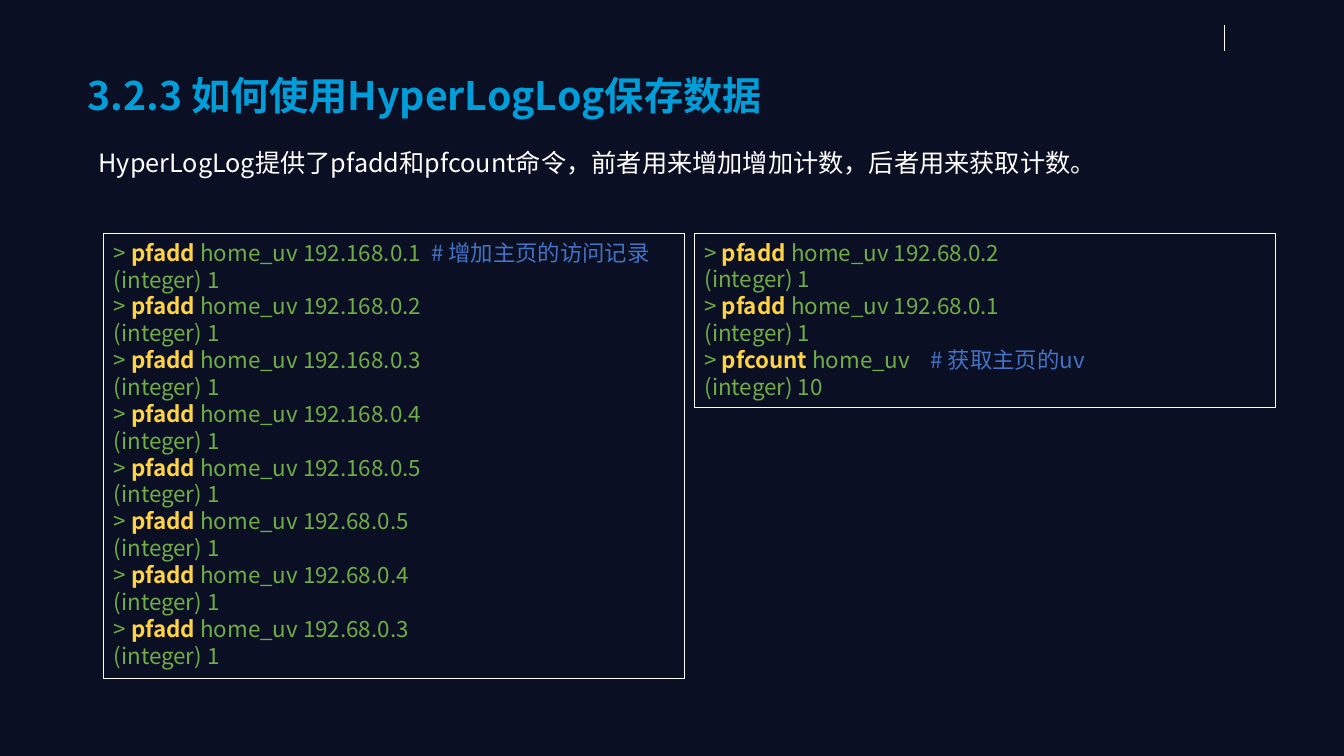
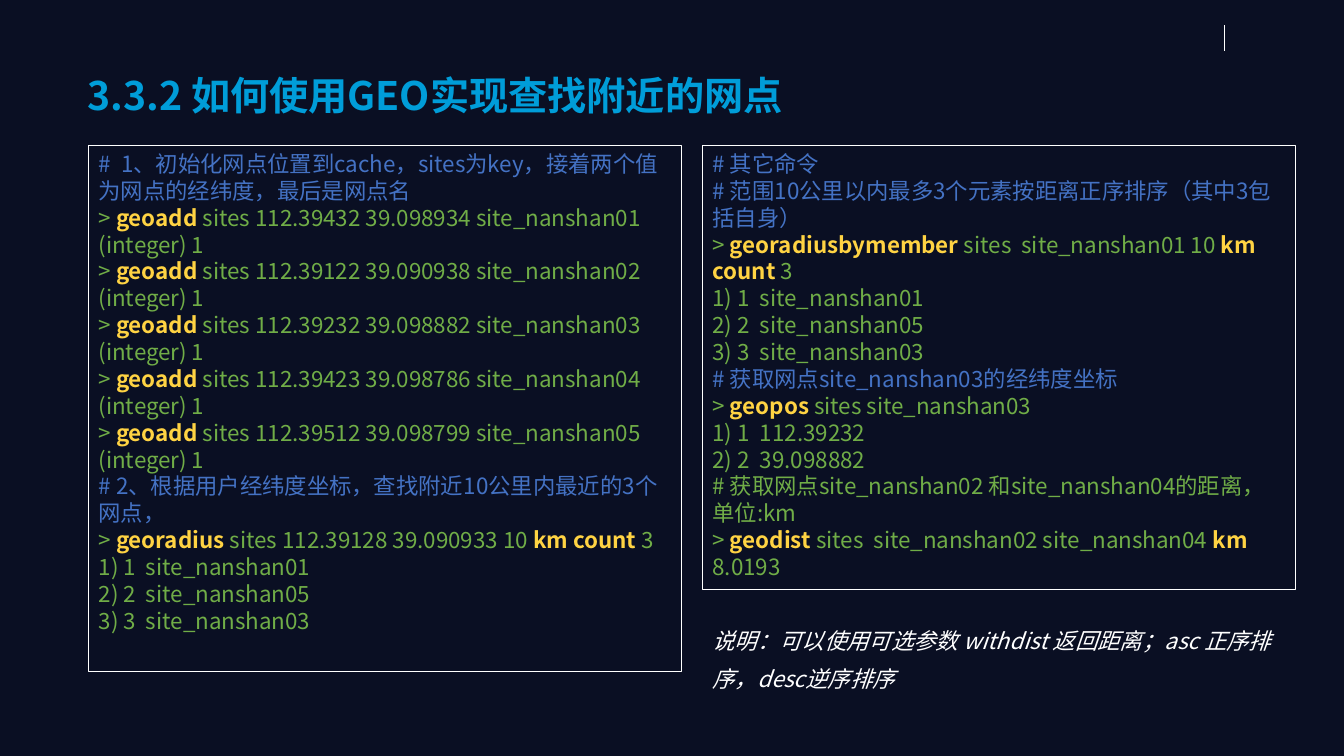
"""Build two dark slides of database command examples."""
from dataclasses import dataclass

from lxml.etree import SubElement
from pptx import Presentation
from pptx.dml.color import RGBColor
from pptx.enum.shapes import MSO_CONNECTOR, MSO_SHAPE
from pptx.enum.text import MSO_ANCHOR, PP_ALIGN
from pptx.oxml.ns import qn
from pptx.util import Inches, Pt

LINE, RECT = MSO_CONNECTOR.STRAIGHT, MSO_SHAPE.RECTANGLE
TOP, LEFT = MSO_ANCHOR.TOP, PP_ALIGN.LEFT
WIDE, HIGH = Inches(13.33), Inches(7.5)


@dataclass(frozen=True)
class Theme:
    """Colours, font and type sizes."""
    back: str = "0A0F23"
    white: str = "FFFFFF"
    code: str = "70AD47"
    key: str = "FFD343"
    note: str = "4472C4"
    face: str = "Noto Sans CJK SC"
    head: int = 28
    lead: int = 18
    body: int = 16
    fade: tuple[str, ...] = ("0F6FC6", "009DD9", "0BD0D9", "10CF9B", "7CCA62")


@dataclass(frozen=True)
class Area:
    """A rectangle in percent of the slide's width and height."""
    x: float
    y: float
    w: float
    h: float

    def place(self) -> tuple[int, int, int, int]:
        """Return left, top, width and height as slide lengths."""
        return across(self.x), down(self.y), across(self.w), down(self.h)


@dataclass(frozen=True)
class Panel:
    """A framed listing; *…* marks a keyword and | starts a note."""
    area: Area
    lines: list[str]


@dataclass(frozen=True)
class Prose:
    """A plain white text block."""
    area: Area
    text: str
    size: int
    slant: bool = False
    space: float | None = None


@dataclass(frozen=True)
class Page:
    """The content of one slide."""
    title: str
    prose: Prose
    panels: list[Panel]


THEME = Theme()
TITLE = Area(5.78, 8.8, 72.9, 7.6)
TICK_X, TICK_TOP, TICK_END = 91.07, 3.33, 6.8


def across(share: float) -> int:
    """Turn a percentage of the width into a length."""
    return round(WIDE * share / 100)


def down(share: float) -> int:
    """Turn a percentage of the height into a length."""
    return round(HIGH * share / 100)


def paint(font, tone: str) -> None:
    """Give a font a solid colour."""
    font.color.rgb = RGBColor.from_string(tone)


def style(para, size: int) -> None:
    """Set the shared typeface and a size on a paragraph."""
    para.alignment = LEFT
    para.font.size, para.font.name = Pt(size), THEME.face
    SubElement(para.font._rPr, qn("a:ea"), typeface=THEME.face)


def blend(font) -> None:
    """Fill a font with the title gradient."""
    font.fill.gradient()
    font.fill.gradient_angle = 315
    stops = font._rPr.find(qn("a:gradFill")).find(qn("a:gsLst"))
    for stop in list(stops):
        stops.remove(stop)
    step = 100000 // (len(THEME.fade) - 1)
    for rank, tone in enumerate(THEME.fade):
        stop = SubElement(stops, qn("a:gs"), pos=str(rank * step))
        SubElement(stop, qn("a:srgbClr"), val=tone)


def add_text(slide, area: Area, text: str, size: int):
    """Add a wrapping text box and return its paragraph."""
    frame = slide.shapes.add_textbox(*area.place()).text_frame
    frame.word_wrap = True
    para = frame.paragraphs[0]
    para.text = text
    style(para, size)
    return para


def add_title(slide, text: str) -> None:
    """Add the gradient slide title."""
    para = add_text(slide, TITLE, text, THEME.head)
    para.font.bold = True
    blend(para.runs[0].font)


def add_prose(slide, prose: Prose) -> None:
    """Add a white text block."""
    para = add_text(slide, prose.area, prose.text, prose.size)
    paint(para.font, THEME.white)
    para.font.italic = prose.slant
    if prose.space:
        para.line_spacing = prose.space


def add_tick(slide) -> None:
    """Add the short upright line in the top corner."""
    x = across(TICK_X)
    tick = slide.shapes.add_connector(LINE, x, down(TICK_TOP), x, down(TICK_END))
    tick.line.color.rgb = RGBColor.from_string(THEME.white)
    tick.line.width = Pt(0.5)
    SubElement(tick._element.spPr, qn("a:effectLst"))


def add_line(para, line: str) -> None:
    """Write one marked-up line of a listing."""
    style(para, THEME.body)
    code, _, note = line.partition("|")
    parts = [(part, THEME.key if rank % 2 else THEME.code)
             for rank, part in enumerate(code.split("*"))]
    for text, tone in parts + [(note, THEME.note)]:
        if text:
            run = para.add_run()
            run.text = text
            paint(run.font, tone)
            run.font.bold = tone == THEME.key


def add_panel(slide, panel: Panel) -> None:
    """Add a framed listing."""
    box = slide.shapes.add_shape(RECT, *panel.area.place())
    box.shadow.inherit = False
    box.fill.background()
    box.line.color.rgb = RGBColor.from_string(THEME.white)
    box.line.width = Pt(0.75)
    frame = box.text_frame
    frame.word_wrap, frame.vertical_anchor = True, TOP
    for rank, line in enumerate(panel.lines):
        add_line(frame.add_paragraph() if rank else frame.paragraphs[0], line)


def calls(verb: str, args: list[str]) -> list[str]:
    """List commands, each with the reply 1."""
    return [line for arg in args
            for line in (f"> *{verb} *{arg}", "(integer) 1")]


def pair(x: float, y: float, w: float, gap: float,
         highs: tuple[float, float]) -> list[Area]:
    """Return two areas side by side."""
    return [Area(x + rank * (w + gap), y, w, h) for rank, h in enumerate(highs)]


def visits(tails: list[str]) -> list[str]:
    """List home page visits by address."""
    return calls("pfadd", [f"home_uv 192.{tail}" for tail in tails])


COUNT = pair(7.73, 30.93, 43.2, 0.75, (58.8, 22.93))
PLACE = pair(6.6, 19.2, 44.1, 1.58, (69.6, 58.8))
FOUND = [f"{rank}) {rank}  site_nanshan{site}"
         for rank, site in enumerate(("01", "05", "03"), 1)]
SITES = ["112.39432 39.098934", "112.39122 39.090938", "112.39232 39.098882",
         "112.39423 39.098786", "112.39512 39.098799"]

PAGES = [
    Page(
        "3.2.3 如何使用HyperLogLog保存数据",
        Prose(Area(6.6, 18.8, 88.3, 5.33),
              "HyperLogLog提供了pfadd和pfcount命令，前者用来增加增加计数，后者用来获取计数。",
              THEME.lead),
        [
            Panel(COUNT[0], visits([
                "168.0.1  |# 增加主页的访问记录",
                *(f"168.0.{host}" for host in range(2, 6)),
                *(f"68.0.{host}" for host in (5, 4, 3))])),
            Panel(COUNT[1], visits(["68.0.2", "68.0.1"]) + [
                "> *pfcount *home_uv    |# 获取主页的uv",
                "(integer) 10"]),
        ]),
    Page(
        "3.3.2 如何使用GEO实现查找附近的网点",
        Prose(Area(PLACE[1].x, 80.93, PLACE[1].w, 10.8),
              "说明：可以使用可选参数 withdist 返回距离；asc 正序排序，desc逆序排序",
              THEME.body, True, 1.4),
        [
            Panel(PLACE[0], [
                "|#  1、初始化网点位置到cache，sites为key，接着两个值为网点的经纬度，最后是网点名",
                *calls("geoadd", [f"sites {spot} site_nanshan{rank:02}"
                                  for rank, spot in enumerate(SITES, 1)]),
                "|# 2、根据用户经纬度坐标，查找附近10公里内最近的3个网点，",
                "> *georadius *sites 112.39128 39.090933 10 *km count* 3",
                *FOUND]),
            Panel(PLACE[1], [
                "|# 其它命令",
                "|# 范围10公里以内最多3个元素按距离正序排序（其中3包括自身）",
                "> *georadiusbymember *sites  site_nanshan01 10 *km count* 3",
                *FOUND,
                "|# 获取网点site_nanshan03的经纬度坐标",
                "> *geopos *sites site_nanshan03",
                "1) 1  112.39232",
                "2) 2  39.098882",
                "# 获取网点site_nanshan02 和site_nanshan04的距离，单位:km",
                "> *geodist *sites  site_nanshan02 site_nanshan04 *km*",
                "8.0193"]),
        ]),
]


def main() -> None:
    """Build and save the slides."""
    deck = Presentation()
    deck.slide_width, deck.slide_height = WIDE, HIGH
    fill = deck.slide_master.background.fill
    fill.solid()
    fill.fore_color.rgb = RGBColor.from_string(THEME.back)
    for page in PAGES:
        slide = deck.slides.add_slide(deck.slide_layouts[6])
        add_tick(slide)
        add_title(slide, page.title)
        add_prose(slide, page.prose)
        for panel in page.panels:
            add_panel(slide, panel)
    deck.save("out.pptx")


if __name__ == "__main__":
    main()
